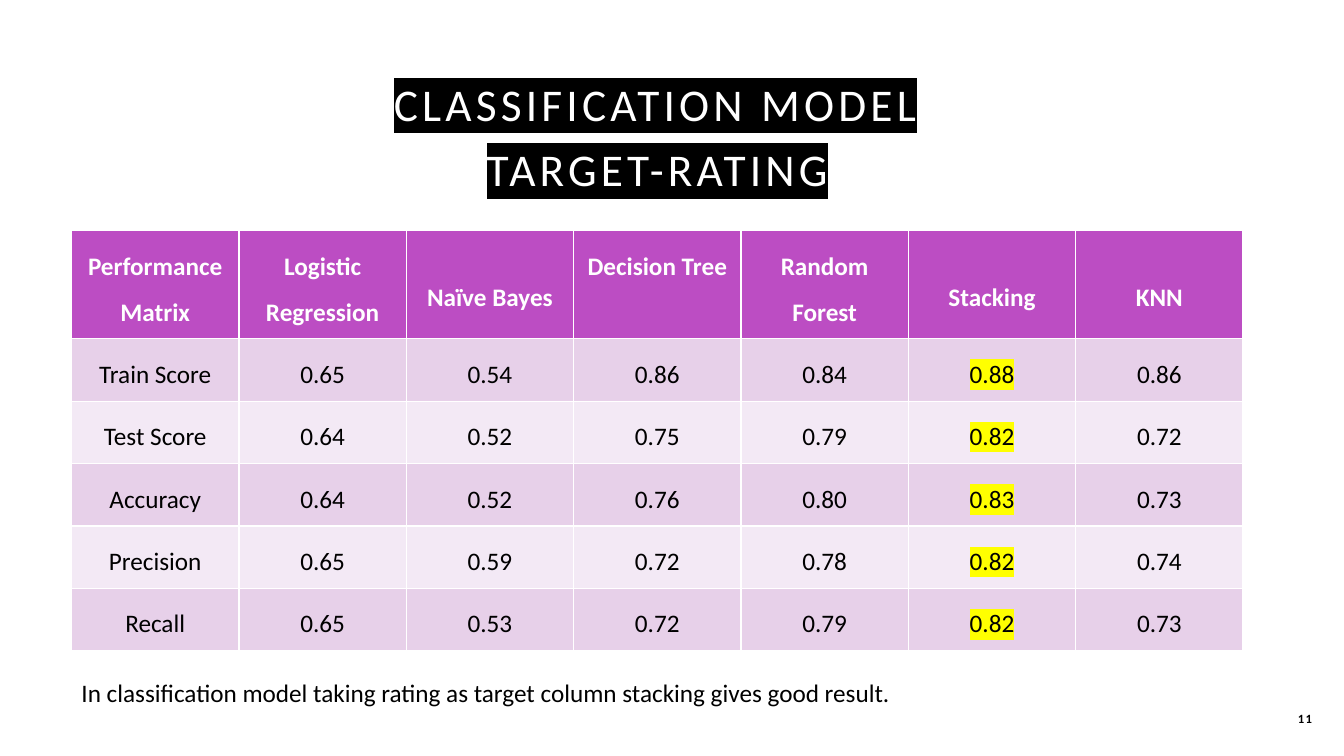
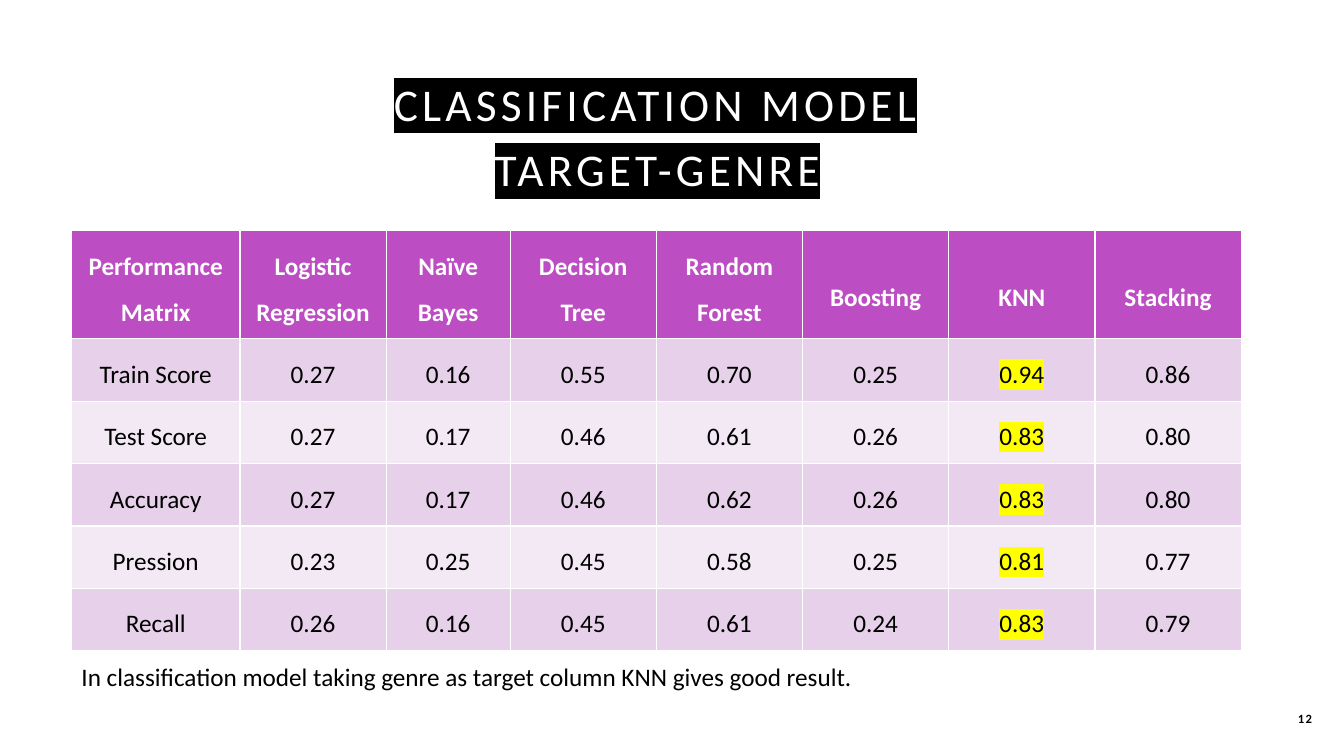
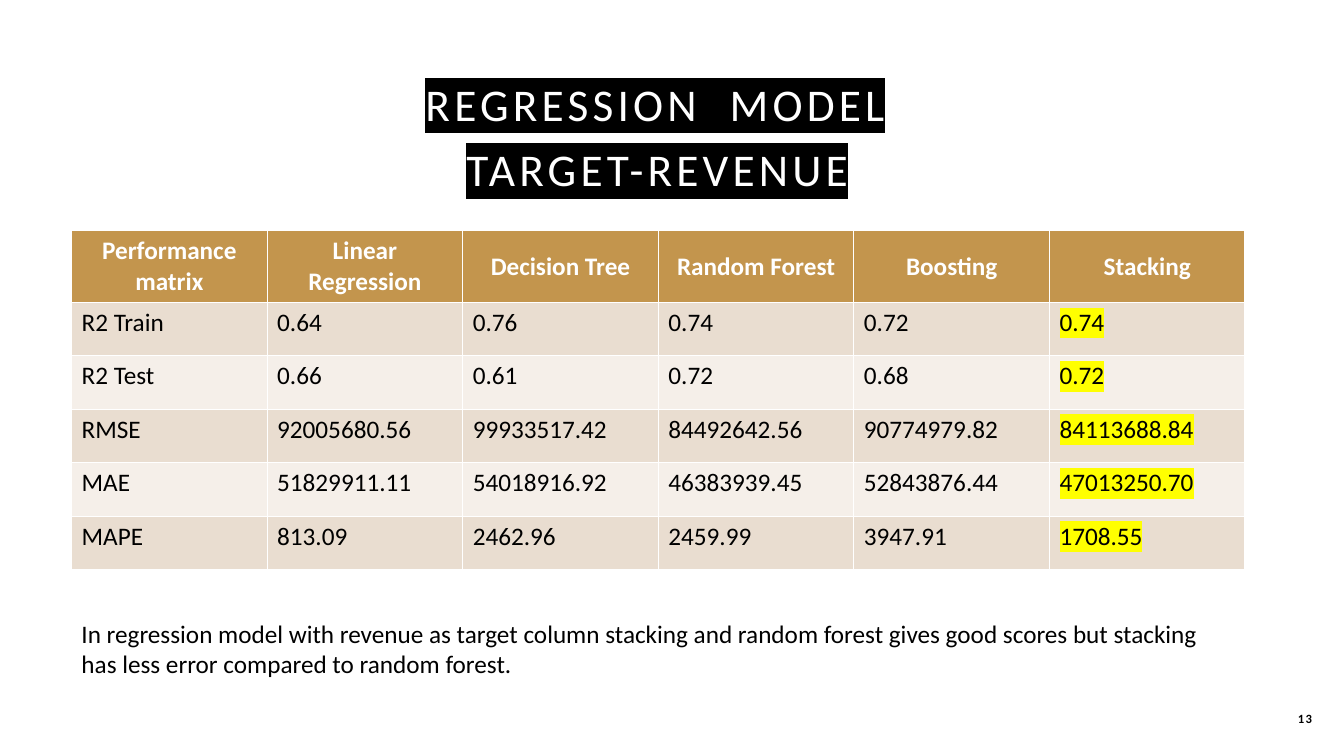
from dataclasses import dataclass

from lxml import etree
from pptx import Presentation
from pptx import util as u
from pptx.dml.color import RGBColor
from pptx.enum import text
from pptx.oxml.ns import qn

FONT = "Calibri"
WHITE = RGBColor(0xFF, 0xFF, 0xFF)
BLACK = RGBColor(0x00, 0x00, 0x00)
YELLOW = RGBColor(0xFF, 0xFF, 0x00)

SLIDE_W, SLIDE_H = 13.33, 7.5
MARGIN = 0.71
CONTENT_W = 11.62
TABLE_TOP = 2.29
FIRST_NUMBER = 11


@dataclass
class Palette:
    header: RGBColor
    odd: RGBColor
    even: RGBColor


PURPLE = Palette(RGBColor(0xBC, 0x4D, 0xC3), RGBColor(0xE7, 0xD0, 0xE9), RGBColor(0xF3, 0xE9, 0xF5))
OCHRE = Palette(RGBColor(0xC3, 0x95, 0x4D), RGBColor(0xE9, 0xDD, 0xD0), RGBColor(0xF5, 0xEF, 0xE9))


@dataclass
class Layout:
    """Table look: row heights in inches, and how body cells are set."""
    palette: Palette
    header_h: float
    row_h: float
    align: text.PP_ALIGN
    spacing: float


CLASSIFICATION = Layout(PURPLE, 1.07, 0.62, text.PP_ALIGN.CENTER, 1.5)
REGRESSION = Layout(OCHRE, 0.69, 0.53, text.PP_ALIGN.LEFT, 1.0)


@dataclass
class Comparison:
    """One slide; headers pair each label with its line spacing."""
    title: str
    layout: Layout
    headers: list
    widths: list
    best: str
    rows: list
    caption: str
    caption_top: float
    caption_h: float = 0.4


COMPARISONS = [
    Comparison(
        "CLASSIFICATION MODEL\vTARGET-RATING", CLASSIFICATION,
        [("Performance\nMatrix", 1.5), ("Logistic Regression", 1.5), ("Naïve Bayes", 2.5),
         ("Decision Tree", 1.5), ("Random Forest", 1.5), ("Stacking", 2.5), ("KNN", 2.5)],
        [1.66] * 7, "Stacking",
        [("Train Score", "0.65", "0.54", "0.86", "0.84", "0.88", "0.86"),
         ("Test Score", "0.64", "0.52", "0.75", "0.79", "0.82", "0.72"),
         ("Accuracy", "0.64", "0.52", "0.76", "0.80", "0.83", "0.73"),
         ("Precision", "0.65", "0.59", "0.72", "0.78", "0.82", "0.74"),
         ("Recall", "0.65", "0.53", "0.72", "0.79", "0.82", "0.73")],
        "In classification model taking rating as target column stacking gives good result.", 6.67),
    Comparison(
        "CLASSIFICATION MODEL\vTARGET-GENRE", CLASSIFICATION,
        [("Performance\nMatrix", 1.5), ("Logistic Regression", 1.5), ("Naïve Bayes", 1.5),
         ("Decision Tree", 1.5), ("Random Forest", 1.5), ("Boosting", 2.5), ("KNN", 2.5),
         ("Stacking", 2.5)],
        [1.67, 1.45, 1.23] + [1.45] * 5, "KNN",
        [("Train Score", "0.27", "0.16", "0.55", "0.70", "0.25", "0.94", "0.86"),
         ("Test Score", "0.27", "0.17", "0.46", "0.61", "0.26", "0.83", "0.80"),
         ("Accuracy", "0.27", "0.17", "0.46", "0.62", "0.26", "0.83", "0.80"),
         ("Pression", "0.23", "0.25", "0.45", "0.58", "0.25", "0.81", "0.77"),
         ("Recall", "0.26", "0.16", "0.45", "0.61", "0.24", "0.83", "0.79")],
        "In classification model taking genre as target column KNN gives good result.", 6.51),
    Comparison(
        "REGRESSION  MODEL\vTARGET-REVENUE", REGRESSION,
        [("Performance matrix", 1.0), ("Linear Regression", 1.0), ("Decision Tree", 1.5),
         ("Random Forest", 1.5), ("Boosting", 1.5), ("Stacking", 1.5)],
        [1.94] * 6, "Stacking",
        [("R2 Train", "0.64", "0.76", "0.74", "0.72", "0.74"),
         ("R2 Test", "0.66", "0.61", "0.72", "0.68", "0.72"),
         ("RMSE", "92005680.56", "99933517.42", "84492642.56", "90774979.82", "84113688.84"),
         ("MAE", "51829911.11", "54018916.92", "46383939.45", "52843876.44", "47013250.70"),
         ("MAPE", "813.09", "2462.96", "2459.99", "3947.91", "1708.55")],
        "In regression model with revenue as target column stacking and random forest gives good "
        "scores but stacking has less error compared to random forest.", 6.08, 0.71),
]


def place(shape, left, top, width, height):
    shape.left, shape.top = u.Inches(left), u.Inches(top)
    shape.width, shape.height = u.Inches(width), u.Inches(height)


def style(frame, size, color, bold=False, align=text.PP_ALIGN.LEFT, spacing=1.0):
    for paragraph in frame.paragraphs:
        paragraph.alignment = align
        paragraph.line_spacing = spacing
        font = paragraph.font
        font.name, font.size, font.bold = FONT, u.Pt(size), bold
        font.color.rgb = color


def run_properties(frame):
    return [run._r.get_or_add_rPr() for paragraph in frame.paragraphs for run in paragraph.runs]


def highlight(frame, color):
    for properties in run_properties(frame):
        marker = etree.SubElement(properties, qn("a:highlight"))
        etree.SubElement(marker, qn("a:srgbClr")).set("val", str(color))


def track(frame, points):
    """Widen the letter spacing."""
    for properties in run_properties(frame):
        properties.set("spc", str(points * 100))


def set_title(slide, wording):
    title = slide.shapes.title
    place(title, MARGIN, 0.71, CONTENT_W, 1.25)
    frame = title.text_frame
    frame.text = wording
    frame.auto_size = text.MSO_AUTO_SIZE.NONE
    frame.vertical_anchor = text.MSO_ANCHOR.BOTTOM
    frame.margin_top, frame.margin_bottom = 0, u.Inches(0.02)
    style(frame, 32.4, WHITE, align=text.PP_ALIGN.CENTER, spacing=1.2)
    track(frame, 3)
    highlight(frame, BLACK)


def fill_cell(cell, wording, fill, color, **setting):
    cell.fill.solid()
    cell.fill.fore_color.rgb = fill
    cell.text_frame.text = wording
    style(cell.text_frame, 18, color, **setting)


def add_scores(slide, comparison):
    layout, palette = comparison.layout, comparison.layout.palette
    heights = [layout.header_h] + [layout.row_h] * len(comparison.rows)
    table = slide.shapes.add_table(
        len(heights), len(comparison.widths), u.Inches(MARGIN), u.Inches(TABLE_TOP),
        u.Inches(sum(comparison.widths)), u.Inches(sum(heights))).table
    for column, width in zip(table.columns, comparison.widths):
        column.width = u.Inches(width)
    for row, height in zip(table.rows, heights):
        row.height = u.Inches(height)

    for c, (label, spacing) in enumerate(comparison.headers):
        fill_cell(table.cell(0, c), label, palette.header, WHITE,
                  bold=True, align=text.PP_ALIGN.CENTER, spacing=spacing)
    for r, scores in enumerate(comparison.rows, start=1):
        band = palette.odd if r % 2 else palette.even
        for c, score in enumerate(scores):
            cell = table.cell(r, c)
            fill_cell(cell, score, band, BLACK, align=layout.align, spacing=layout.spacing)
            if comparison.headers[c][0] == comparison.best:
                highlight(cell.text_frame, YELLOW)


def add_text(slide, wording, left, top, width, height):
    box = slide.shapes.add_textbox(*map(u.Inches, (left, top, width, height)))
    frame = box.text_frame
    frame.word_wrap = True
    frame.text = wording
    return frame


def add_caption(slide, comparison):
    frame = add_text(slide, comparison.caption, MARGIN, comparison.caption_top,
                     CONTENT_W, comparison.caption_h)
    frame.auto_size = text.MSO_AUTO_SIZE.SHAPE_TO_FIT_TEXT
    style(frame, 18, BLACK)


def add_number(slide, number):
    frame = add_text(slide, str(number), 12.52, 6.93, 0.59, 0.4)
    frame.vertical_anchor = text.MSO_ANCHOR.MIDDLE
    style(frame, 9, BLACK, bold=True, align=text.PP_ALIGN.RIGHT)
    frame.paragraphs[0].space_after = u.Pt(6)
    track(frame, 1)


def main():
    prs = Presentation()
    prs.slide_width, prs.slide_height = u.Inches(SLIDE_W), u.Inches(SLIDE_H)
    title_only = prs.slide_layouts[5]
    for number, comparison in enumerate(COMPARISONS, start=FIRST_NUMBER):
        slide = prs.slides.add_slide(title_only)
        set_title(slide, comparison.title)
        add_scores(slide, comparison)
        add_caption(slide, comparison)
        add_number(slide, number)
    prs.save("out.pptx")


if __name__ == "__main__":
    main()
